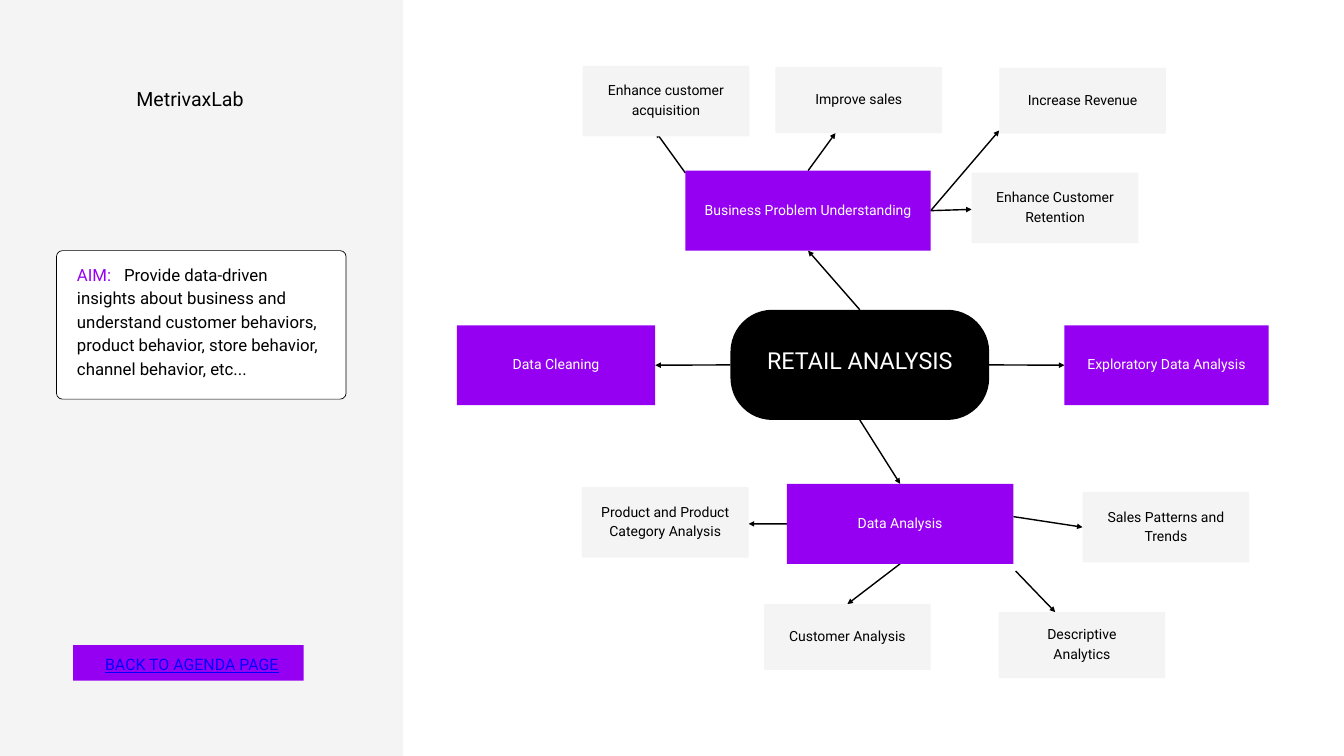
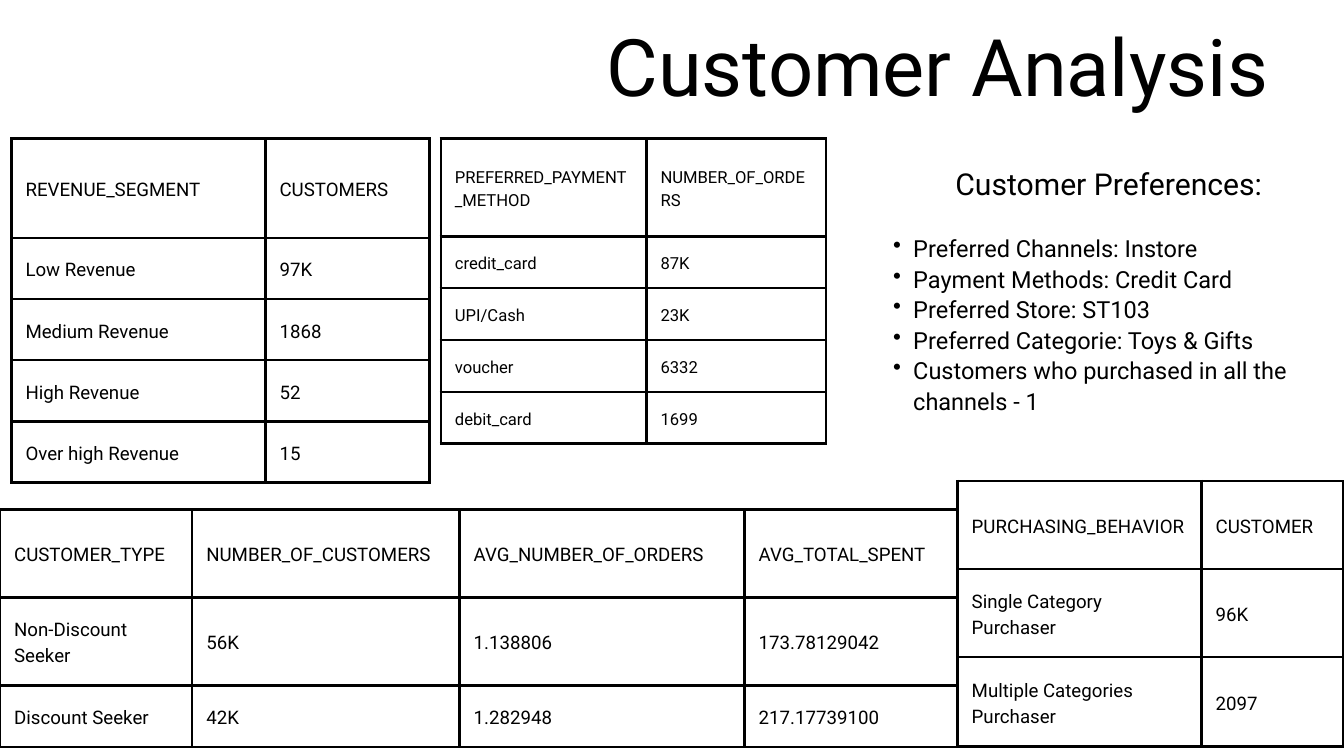
from lxml import etree
from pptx import Presentation
from pptx.dml.color import RGBColor
from pptx.enum.shapes import MSO_CONNECTOR, MSO_SHAPE
from pptx.enum.text import MSO_ANCHOR, PP_ALIGN
from pptx.oxml.ns import qn
from pptx.util import Inches, Pt

RECT, ROUND = MSO_SHAPE.RECTANGLE, MSO_SHAPE.ROUNDED_RECTANGLE
LINE = MSO_CONNECTOR.STRAIGHT
LEFT, MID, RIGHT = PP_ALIGN.LEFT, PP_ALIGN.CENTER, PP_ALIGN.RIGHT
TOP, CENTER, BOTTOM = MSO_ANCHOR.TOP, MSO_ANCHOR.MIDDLE, MSO_ANCHOR.BOTTOM

BLACK = RGBColor(0x00, 0x00, 0x00)
WHITE = RGBColor(0xFF, 0xFF, 0xFF)
PURPLE = RGBColor(0x96, 0x00, 0xF2)
GREY = RGBColor(0xF4, 0xF4, 0xF4)
BLUE = RGBColor(0x00, 0x00, 0xFF)
FONT = "Roboto"
WIDE, HIGH = 20, 11.25
SIDE = 0.3 * WIDE

# Mind map: name -> (text, left, top, width, height)
HUB = ("RETAIL ANALYSIS", 10.87, 4.61, 3.85, 1.64)
STEP_H, LEAF_W, LOW, TALL = 1.19, 2.48, 0.98, 1.05
STEPS = {
    "clean": ("Data Cleaning", 6.8, 4.84, 2.95, STEP_H),
    "problem": ("Business Problem Understanding", 10.2, 2.54, 3.65, STEP_H),
    "data": ("Data Analysis", 11.71, 7.2, 3.37, STEP_H),
    "explore": ("Exploratory Data Analysis", 15.84, 4.84, 3.04, STEP_H),
}
LEAVES = {
    "acquire": ("Enhance customer acquisition", 8.67, 0.98, LEAF_W, TALL),
    "sales": ("Improve sales", 11.54, 1, LEAF_W, LOW),
    "revenue": ("Increase Revenue", 14.87, 1.01, LEAF_W, LOW),
    "retain": ("Enhance Customer Retention", 14.46, 2.57, LEAF_W, TALL),
    "product": ("Product and Product Category Analysis", 8.66, 7.25, LEAF_W, TALL),
    "trends": ("Sales Patterns and Trends", 16.11, 7.32, LEAF_W, TALL),
    "buyer": ("Customer Analysis", 11.37, 8.99, LEAF_W, LOW),
    "describe": ("Descriptive Analytics", 14.86, 9.11, LEAF_W, LOW),
}
# Arrows: box and share of its width and height, at each end
ARROWS = [
    ("hub", 0, 0.5, "clean", 1, 0.5),
    ("hub", 1, 0.5, "explore", 0, 0.5),
    ("hub", 0.5, 0, "problem", 0.5, 1),
    ("hub", 0.5, 1, "data", 0.5, 0),
    ("problem", 0, 0.03, "acquire", 0.44, 0.94),
    ("problem", 0.5, 0, "sales", 0.36, 1),
    ("problem", 1, 0.5, "revenue", 0, 0.95),
    ("problem", 1, 0.5, "retain", 0, 0.52),
    ("data", 0, 0.5, "product", 1, 0.52),
    ("data", 1, 0.41, "trends", 0, 0.5),
    ("data", 0.5, 1, "buyer", 0.5, 0),
    ("data", 1.01, 1.09, "describe", 0.34, 0),
]
BRAND = "MetrivaxLab"
AIM = [
    ("AIM:", PURPLE),
    ("\tProvide data-driven insights about business and understand customer "
     "behaviors, product behavior, store behavior, channel behavior, etc...", BLACK),
]
BACK = "BACK TO AGENDA PAGE"

TITLE = "Customer Analysis"
HEAD = "Customer Preferences:"
LIKES = [
    "Preferred Channels: Instore",
    "Payment Methods: Credit Card",
    "Preferred Store: ST103",
    "Preferred Categorie: Toys & Gifts",
    "Customers who purchased in all the channels - 1",
]
# Tables: left, top, column widths, row heights, text size, border, cells
TABLES = [
    (0.17, 2.06, [3.78, 2.44], [1.48] + [0.91] * 4, 20, 3, [
        ("REVENUE_SEGMENT", "CUSTOMERS"),
        ("Low Revenue", "97K"),
        ("Medium Revenue", "1868"),
        ("High Revenue", "52"),
        ("Over high Revenue", "15")]),
    (6.56, 2.06, [3.06, 2.67], [1.46] + [0.77] * 4, 17.8, 2.67, [
        ("PREFERRED_PAYMENT_METHOD", "NUMBER_OF_ORDERS"),
        ("credit_card", "87K"),
        ("UPI/Cash", "23K"),
        ("voucher", "6332"),
        ("debit_card", "1699")]),
    (0, 7.58, [2.86, 3.98, 4.24, 3.16], [1.31, 1.31, 0.92], 20, 3, [
        ("CUSTOMER_TYPE", "NUMBER_OF_CUSTOMERS", "AVG_NUMBER_OF_ORDERS", "AVG_TOTAL_SPENT"),
        ("Non-Discount Seeker", "56K", "1.138806", "173.78129042"),
        ("Discount Seeker", "42K", "1.282948", "217.17739100")]),
    (14.25, 7.16, [3.63, 2.11], [1.31, 1.31, 1.33], 20, 3, [
        ("PURCHASING_BEHAVIOR", "CUSTOMER"),
        ("Single Category Purchaser", "96K"),
        ("Multiple Categories Purchaser", "2097")]),
]


def inches(*sizes):
    return [Inches(size) for size in sizes]


def style(para, size, lead, color=BLACK, align=LEFT):
    para.alignment = align
    para.line_spacing = Pt(lead)
    font = para.font
    font.name, font.size, font.color.rgb = FONT, Pt(size), color


def setup(frame, pads=(0, 0, 0, 0), anchor=TOP):
    """Wrap the frame and pad it: left, top, right, bottom."""
    frame.word_wrap = True
    frame.vertical_anchor = anchor
    (frame.margin_left, frame.margin_top,
     frame.margin_right, frame.margin_bottom) = inches(*pads)
    return frame.paragraphs[0]


def block(slide, area, fill, kind=RECT, corner=0):
    shape = slide.shapes.add_shape(kind, *inches(*area))
    shape.shadow.inherit = False
    shape.fill.solid()
    shape.fill.fore_color.rgb = fill
    shape.line.fill.background()
    if corner:
        shape.adjustments[0] = corner
    return shape


def label(shape, text, size, lead, color, pads):
    para = setup(shape.text_frame, pads, CENTER)
    para.text = text
    style(para, size, lead, color, MID)
    return para


def textbox(slide, area, text, size, lead, align=LEFT):
    frame = slide.shapes.add_textbox(*inches(*area)).text_frame
    para = setup(frame)
    para.text = text
    style(para, size, lead, align=align)
    return frame


def arrow(slide, start, end):
    line = slide.shapes.add_connector(LINE, *inches(*start, *end))
    line.line.color.rgb = BLACK
    line.line.width = Pt(1.5)
    etree.SubElement(line.line._get_or_add_ln(), qn("a:tailEnd"), type="triangle")
    etree.SubElement(line._element.spPr, qn("a:effectLst"))


def spot(box, across, down):
    _, left, top, width, height = box
    return left + across * width, top + down * height


def border(cell, width):
    props = cell._tc.get_or_add_tcPr()
    for side in ("lnL", "lnR", "lnT", "lnB"):
        edge = etree.SubElement(props, qn("a:" + side), w=str(Pt(width)))
        fill = etree.SubElement(edge, qn("a:solidFill"))
        etree.SubElement(fill, qn("a:srgbClr"), val=str(BLACK))


def grid(slide, left, top, cols, rows, size, width, cells):
    area = inches(left, top, sum(cols), sum(rows))
    table = slide.shapes.add_table(len(rows), len(cols), *area).table
    table.first_row = table.horz_banding = False
    for col, span in zip(table.columns, cols):
        col.width = Inches(span)
    for row, span, texts in zip(table.rows, rows, cells):
        row.height = Inches(span)
        for cell, text in zip(row.cells, texts):
            border(cell, width)
            cell.fill.background()
            cell.vertical_anchor = CENTER
            cell.margin_left = cell.margin_right = Inches(0.21)
            cell.margin_top = cell.margin_bottom = Inches(0.21)
            cell.text = text
            style(cell.text_frame.paragraphs[0], size, 1.4 * size)


def bullet(para):
    props = para._p.get_or_add_pPr()
    props.set("marL", str(Inches(0.59)))
    props.set("indent", str(Inches(-0.3)))
    etree.SubElement(props, qn("a:buChar"), char="•")


def sidebar(slide):
    block(slide, (0, 0, SIDE, HIGH), GREY)
    textbox(slide, (2.03, 1.29, 2.94, 0.35), BRAND, 21, 25.2)

    card = block(slide, (0.84, 3.73, 4.31, 2.21), WHITE, ROUND, 0.04)
    card.line.color.rgb, card.line.width = BLACK, Pt(0.75)
    para = setup(card.text_frame, (0.28, 0.1, 0.28, 0.28), BOTTOM)
    for text, color in AIM:
        run = para.add_run()
        run.text, run.font.color.rgb = text, color
    style(para, 18, 25.2)
    tabs = etree.Element(qn("a:tabLst"))
    etree.SubElement(tabs, qn("a:tab"), pos=str(Inches(0.7)), algn="l")
    para._p.pPr.find(qn("a:lnSpc")).addnext(tabs)

    button = block(slide, (1.09, 9.6, 3.43, 0.53), PURPLE)
    para = label(button, BACK, 17, 23.8, BLUE, (0.24, 0, 0.14, 0))
    para.font.underline = True


def mindmap(slide):
    boxes = {"hub": HUB, **STEPS, **LEAVES}
    for start, x1, y1, end, x2, y2 in ARROWS:
        arrow(slide, spot(boxes[start], x1, y1), spot(boxes[end], x2, y2))
    text, *area = HUB
    hub = block(slide, area, BLACK, ROUND, 0.38)
    label(hub, text, 25, 35, WHITE, (0.1, 0, 0.1, 0.22))
    for group, fill, color in ((STEPS, PURPLE, WHITE), (LEAVES, GREY, BLACK)):
        for text, *area in group.values():
            label(block(slide, area, fill), text, 15, 21, color, (0.28, 0.06, 0.28, 0.13))


def customers(slide):
    for table in TABLES:
        grid(slide, *table)
    textbox(slide, (7.2, 0.25, 11.67, 1.42), TITLE, 85, 102, RIGHT)
    frame = textbox(slide, (13, 2.41, 7, 3.7), HEAD, 32.3, 42, MID)
    for place, text in enumerate(LIKES):
        para = frame.add_paragraph()
        para.text = text
        style(para, 25.2, 32.7)
        if place == 0:
            para.space_before = Pt(32.7)
        bullet(para)


def main():
    deck = Presentation()
    deck.slide_width, deck.slide_height = inches(WIDE, HIGH)
    blank = deck.slide_layouts[6]
    first = deck.slides.add_slide(blank)
    sidebar(first)
    mindmap(first)
    customers(deck.slides.add_slide(blank))
    deck.save("out.pptx")


if __name__ == "__main__":
    main()
